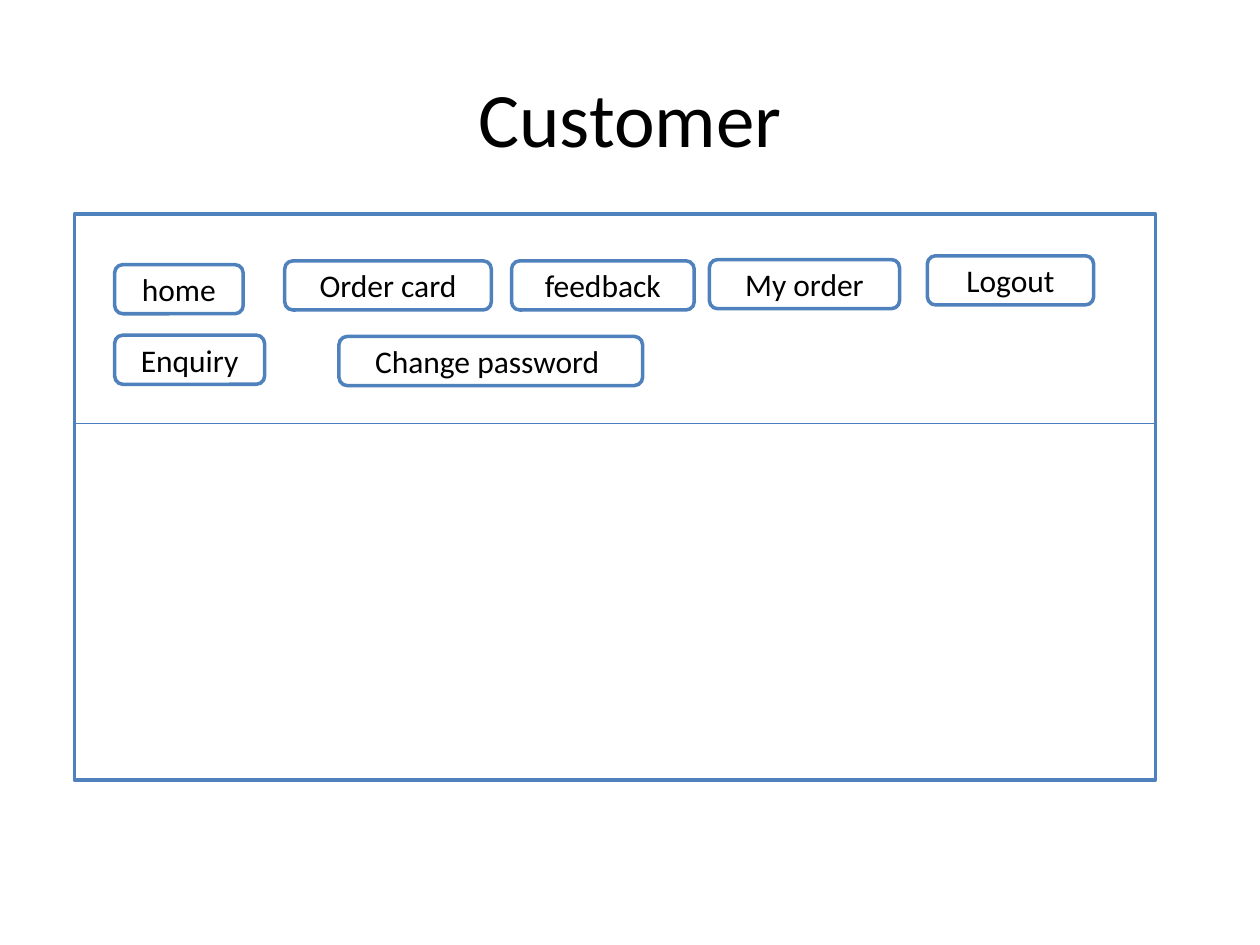
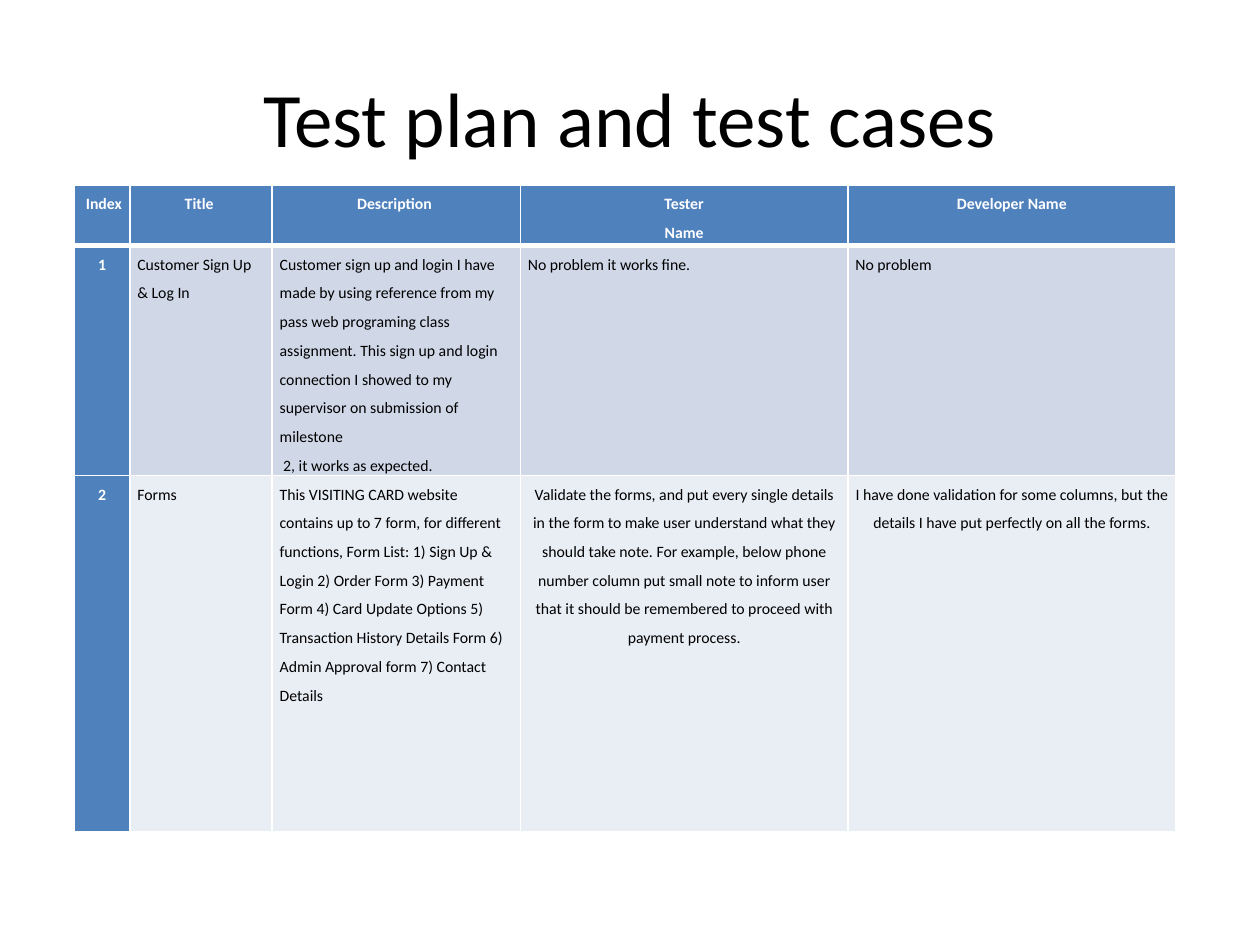
from lxml.etree import SubElement
from pptx import Presentation
from pptx.dml.color import RGBColor
from pptx.enum.shapes import MSO_CONNECTOR, MSO_SHAPE
from pptx.enum.text import MSO_ANCHOR, PP_ALIGN
from pptx.oxml.ns import qn
from pptx.util import Inches, Pt

BLUE = RGBColor(0x4F, 0x81, 0xBD)
RULE_BLUE = RGBColor(0x4B, 0x7E, 0xBC)
BAND_DARK = RGBColor(0xD0, 0xD8, 0xE8)
BAND_LIGHT = RGBColor(0xE9, 0xED, 0xF4)
WHITE = RGBColor(0xFF, 0xFF, 0xFF)
BLACK = RGBColor(0x00, 0x00, 0x00)

FONT = "Calibri"
TITLE_FORMAT = {"name": FONT, "size": Pt(44), "bold": False}
BUTTON_FORMAT = {"name": FONT, "size": Pt(18), "bold": False}
HEADING_FORMAT = {"name": FONT, "size": Pt(9), "bold": True}
CELL_FORMAT = {"name": FONT, "size": Pt(9), "bold": False}
CELL_MARGINS = {
    "margin_left": Inches(0.06),
    "margin_right": Inches(0.06),
    "margin_top": Inches(0),
    "margin_bottom": Inches(0),
}

FRAME_LEFT, FRAME_WIDTH = 0.59, 8.58
BUTTON_HEIGHT = 0.39
MENU_BUTTONS = [
    ("home", 0.91, 2.1, 1.02),
    ("Enquiry", 0.91, 2.66, 1.19),
    ("Logout", 7.36, 2.03, 1.32),
    ("Change password ", 2.69, 2.67, 2.41),
    ("My order", 5.63, 2.06, 1.51),
    ("feedback", 4.06, 2.07, 1.45),
    ("Order card", 2.26, 2.07, 1.64),
]

COLUMN_WIDTHS = [0.44, 1.13, 1.97, 2.6, 2.6]
ROW_HEIGHTS = [0.48, 1.65, 2.83]
TEST_CASES = [
    [" Index", "Title ", "Description ", "Tester\nName", "Developer Name"],
    [
        "1",
        "Customer Sign Up & Log In",
        "Customer sign up and login I have made by using reference from my "
        "pass web programing class assignment. This sign up and login "
        "connection I showed to my supervisor on submission of milestone\n"
        " 2, it works as expected.",
        "No problem it works fine.",
        "No problem",
    ],
    [
        "2",
        "Forms",
        "This VISITING CARD website contains up to 7 form, for different "
        "functions, Form List: 1) Sign Up & Login 2) Order Form 3) Payment "
        "Form 4) Card Update Options 5) Transaction History Details Form "
        "6) Admin Approval form 7) Contact Details",
        "Validate the forms, and put every single details in the form to make "
        "user understand what they should take note. For example, below phone "
        "number column put small note to inform user that it should be "
        "remembered to proceed with payment process.",
        "I have done validation for some columns, but the details I have put "
        "perfectly on all the forms.",
    ],
]


def set_values(target, values):
    for name, value in values.items():
        setattr(target, name, value)


class SlideBuilder:
    def __init__(self):
        self.deck = Presentation()
        self.deck.slide_width = Inches(10)
        self.deck.slide_height = Inches(7.5)
        self.page = None

    def new_page(self, title):
        self.page = self.deck.slides.add_slide(self.deck.slide_layouts[5])
        box = self.page.shapes.title
        set_values(box, {"left": Inches(0.5), "top": Inches(0.3),
                         "width": Inches(9), "height": Inches(1.25)})
        box.text_frame.vertical_anchor = MSO_ANCHOR.MIDDLE
        self.add_text(box.text_frame, title, TITLE_FORMAT)

    def add_text(self, frame, text, font_format, color=BLACK,
                 align=PP_ALIGN.CENTER, spacing=None):
        for index, line in enumerate(text.split("\n")):
            para = frame.add_paragraph() if index else frame.paragraphs[0]
            set_values(para, {"alignment": align, "line_spacing": spacing})
            span = para.add_run()
            span.text = line
            set_values(span.font, font_format)
            span.font.color.rgb = color

    def outline(self, kind, left, top, width, height, text=None):
        box = self.page.shapes.add_shape(
            kind, Inches(left), Inches(top), Inches(width), Inches(height))
        box.shadow.inherit = False
        box.fill.solid()
        box.fill.fore_color.rgb = WHITE
        box.line.color.rgb = BLUE
        box.line.width = Pt(2)
        if text:
            box.text_frame.vertical_anchor = MSO_ANCHOR.MIDDLE
            self.add_text(box.text_frame, text, BUTTON_FORMAT)

    def rule(self, left, top, width):
        line = self.page.shapes.add_connector(
            MSO_CONNECTOR.STRAIGHT, Inches(left), Inches(top),
            Inches(left + width), Inches(top))
        line.line.color.rgb = RULE_BLUE
        line.line.width = Pt(0.75)
        SubElement(line._element.spPr, qn("a:effectLst"))

    def borders(self, cell, top, bottom):
        properties = cell._tc.get_or_add_tcPr()
        for side, points in (("L", 1), ("R", 1), ("T", top), ("B", bottom)):
            edge = SubElement(properties, qn(f"a:ln{side}"), w=str(Pt(points)))
            fill = SubElement(edge, qn("a:solidFill"))
            SubElement(fill, qn("a:srgbClr"), val=str(WHITE))

    def table(self, left, top, widths, heights, rows):
        grid = self.page.shapes.add_table(
            len(rows), len(widths), Inches(left), Inches(top),
            Inches(sum(widths)), Inches(sum(heights))).table
        grid.first_col = True
        for column, width in zip(grid.columns, widths):
            column.width = Inches(width)
        for row, height in zip(grid.rows, heights):
            row.height = Inches(height)
        for r, texts in enumerate(rows):
            for c, text in enumerate(texts):
                self.cell(grid.cell(r, c), r, c, text)

    def cell(self, cell, r, c, text):
        heading = r == 0 or c == 0
        centered = heading or (r == 2 and c >= 3)
        set_values(cell, CELL_MARGINS)
        self.borders(cell, 3 if r == 1 else 1, 3 if r == 0 else 1)
        cell.fill.solid()
        band = BAND_DARK if r % 2 else BAND_LIGHT
        cell.fill.fore_color.rgb = BLUE if heading else band
        self.add_text(cell.text_frame, text,
                      HEADING_FORMAT if heading else CELL_FORMAT,
                      WHITE if heading else BLACK,
                      PP_ALIGN.CENTER if centered else PP_ALIGN.LEFT, 1.5)


def main():
    builder = SlideBuilder()

    builder.new_page("Customer")
    builder.outline(MSO_SHAPE.RECTANGLE, FRAME_LEFT, 1.7, FRAME_WIDTH, 4.49)
    for label, left, top, width in MENU_BUTTONS:
        builder.outline(MSO_SHAPE.ROUNDED_RECTANGLE, left, top, width,
                        BUTTON_HEIGHT, label)
    builder.rule(FRAME_LEFT, 3.36, FRAME_WIDTH)

    builder.new_page("Test plan and test cases")
    builder.table(FRAME_LEFT, 1.47, COLUMN_WIDTHS, ROW_HEIGHTS, TEST_CASES)

    builder.deck.save("out.pptx")


if __name__ == "__main__":
    main()
